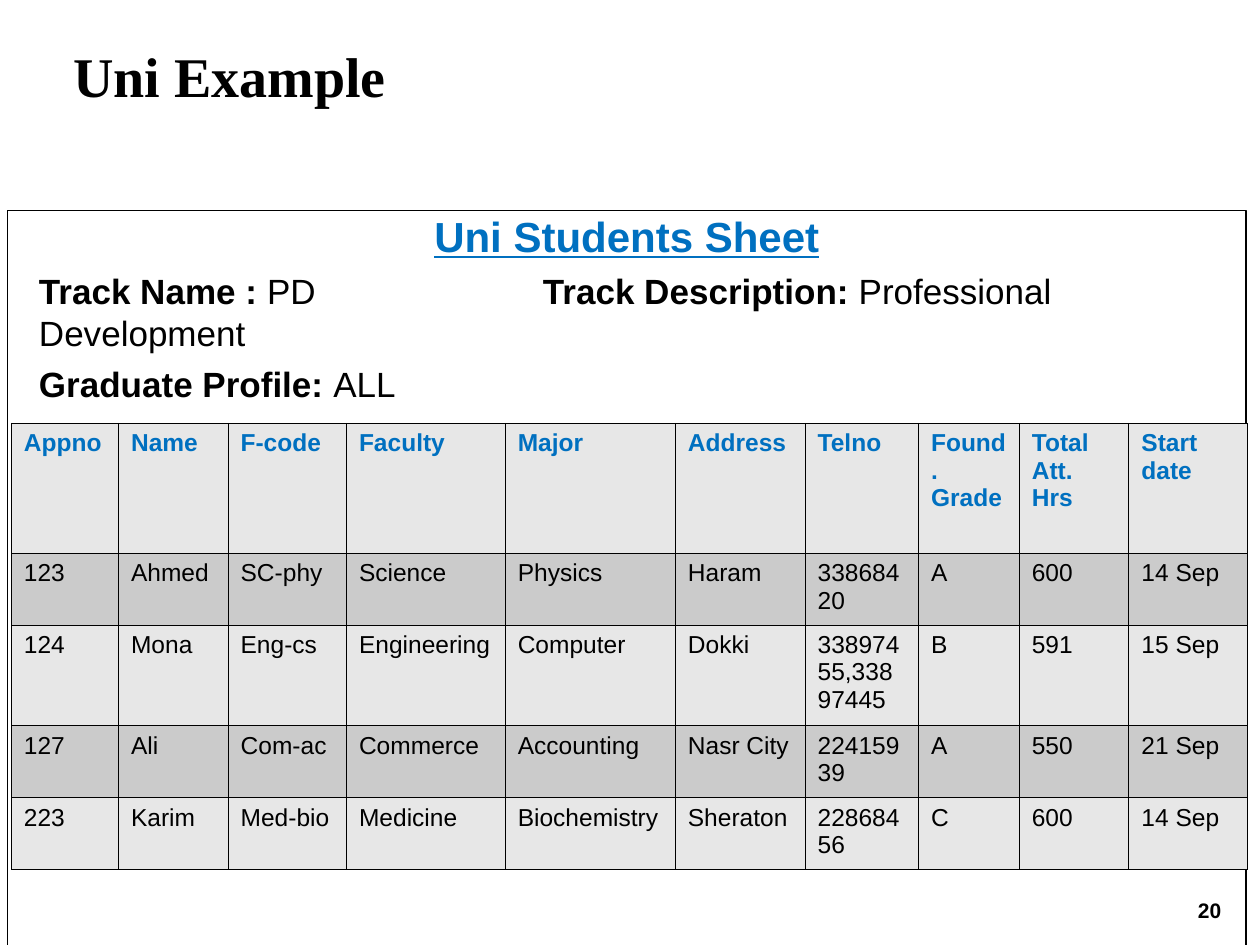
import dataclasses

import lxml.etree
import pptx
import pptx.dml.color
import pptx.enum.shapes
import pptx.enum.text
import pptx.oxml.ns
import pptx.util

Inches = pptx.util.Inches
Pt = pptx.util.Pt
ALIGN = pptx.enum.text.PP_ALIGN


@dataclasses.dataclass(frozen=True)
class Theme:
    sans: str = "Arial"
    serif: str = "Times New Roman"
    ink: str = "000000"
    accent: str = "0070C0"
    light: str = "E7E7E7"
    dark: str = "CBCBCB"
    title: float = 32
    heading: float = 24
    details: float = 20
    cell: float = 14
    number: float = 12
    frame_line: float = 0.74
    cell_line: float = 0.45


THEME = Theme()
SCHOOL = "Uni"
COLUMN_WIDTHS = [0.85, 0.87, 0.94, 1.26, 1.35, 1.03, 0.9, 0.8, 0.87, 0.94]
ROW_HEIGHTS = [1.03, 0.57, 0.8, 0.57, 0.57]
STUDENTS = [
    ["Appno", "Name", "F-code", "Faculty", "Major", "Address", "Telno",
     "Found.\nGrade", "Total\nAtt. Hrs", "Start date"],
    ["123", "Ahmed", "SC-phy", "Science", "Physics", "Haram", "33868420",
     "A", "600", "14 Sep"],
    ["124", "Mona", "Eng-cs", "Engineering", "Computer", "Dokki",
     "33897455,33897445", "B", "591", "15 Sep"],
    ["127", "Ali", "Com-ac", "Commerce", "Accounting", "Nasr City",
     "22415939", "A", "550", "21 Sep"],
    ["223", "Karim", "Med-bio", "Medicine", "Biochemistry", "Sheraton",
     "22868456", "C", "600", "14 Sep"],
]


def rgb(value):
    return pptx.dml.color.RGBColor.from_string(value)


def apply(target, values):
    for name, value in values.items():
        setattr(target, name, value)


def style_font(font, size, color=THEME.ink, **values):
    apply(font, {"name": THEME.sans, "size": Pt(size), **values})
    font.color.rgb = rgb(color)


def set_frame(text_frame, left=0, top=0, right=0, bottom=0):
    apply(text_frame, {
        "word_wrap": True,
        "auto_size": pptx.enum.text.MSO_AUTO_SIZE.NONE,
        "vertical_anchor": pptx.enum.text.MSO_ANCHOR.TOP,
        "margin_left": Inches(left),
        "margin_top": Inches(top),
        "margin_right": Inches(right),
        "margin_bottom": Inches(bottom),
    })


def add_run(paragraph, text, size, **values):
    run = paragraph.add_run()
    run.text = text
    style_font(run.font, size, **values)


def add_tab_stop(paragraph, position):
    properties = paragraph._p.get_or_add_pPr()
    stops = lxml.etree.SubElement(properties, pptx.oxml.ns.qn("a:tabLst"))
    lxml.etree.SubElement(stops, pptx.oxml.ns.qn("a:tab"),
                          pos=str(Inches(position)), algn="l")


def add_title(slide, text):
    title = slide.shapes.title
    apply(title, {"left": Inches(0.58), "top": Inches(0.33),
                  "width": Inches(8.29), "height": Inches(1.03)})
    set_frame(title.text_frame)
    heading = title.text_frame.paragraphs[0]
    heading.alignment = ALIGN.LEFT
    add_run(heading, text, THEME.title, name=THEME.serif, bold=True)


def add_page_number(slide, number):
    box = slide.shapes.add_textbox(Inches(9.35), Inches(7.1),
                                   Inches(0.5), Inches(0.28))
    set_frame(box.text_frame, 0.1, 0.05, 0.1, 0.05)
    label = box.text_frame.paragraphs[0]
    apply(label, {"alignment": ALIGN.CENTER, "line_spacing": 0.9,
                  "space_before": Pt(7.5)})
    add_run(label, number, THEME.number, bold=True)


def add_sheet(slide):
    sheet = slide.shapes.add_shape(
        pptx.enum.shapes.MSO_SHAPE.RECTANGLE,
        Inches(0.06), Inches(1.67), Inches(9.83), Inches(6))
    sheet.shadow.inherit = False
    sheet.fill.background()
    sheet.line.color.rgb = rgb(THEME.ink)
    sheet.line.width = Pt(THEME.frame_line)
    set_frame(sheet.text_frame, left=0.25, right=0.25)

    heading = sheet.text_frame.paragraphs[0]
    apply(heading, {"alignment": ALIGN.CENTER, "space_before": Pt(6)})
    add_run(heading, f"{SCHOOL} Students Sheet", THEME.heading,
            color=THEME.accent, bold=True, underline=True)

    details = [
        [("Track Name : ", True), ("PD\t", False),
         ("Track Description:", True), (" Professional Development", False)],
        [("Graduate Profile: ", True), ("ALL", False)],
    ]
    for pieces in details:
        detail = sheet.text_frame.add_paragraph()
        apply(detail, {"alignment": ALIGN.LEFT, "space_before": Pt(5)})
        add_tab_stop(detail, 4)
        for text, bold in pieces:
            add_run(detail, text, THEME.details, bold=bold)


def add_borders(cell):
    properties = cell._tc.get_or_add_tcPr()
    for side in ("lnL", "lnR", "lnT", "lnB"):
        border = lxml.etree.SubElement(
            properties, pptx.oxml.ns.qn("a:" + side),
            w=str(Pt(THEME.cell_line)))
        fill = lxml.etree.SubElement(border, pptx.oxml.ns.qn("a:solidFill"))
        lxml.etree.SubElement(fill, pptx.oxml.ns.qn("a:srgbClr"),
                              val=THEME.ink)


def fill_cell(cell, text, header, background):
    add_borders(cell)
    cell.fill.solid()
    cell.fill.fore_color.rgb = rgb(background)
    cell.text = text
    for paragraph in cell.text_frame.paragraphs:
        for run in paragraph.runs:
            style_font(run.font, THEME.cell, bold=header,
                       color=THEME.accent if header else THEME.ink)


def add_students(slide):
    students = slide.shapes.add_table(
        len(STUDENTS), len(COLUMN_WIDTHS), Inches(0.09), Inches(3.36),
        Inches(sum(COLUMN_WIDTHS)), Inches(sum(ROW_HEIGHTS))).table
    for column, width in zip(students.columns, COLUMN_WIDTHS):
        column.width = Inches(width)
    for row_index, (row, height) in enumerate(zip(students.rows, ROW_HEIGHTS)):
        row.height = Inches(height)
        background = THEME.dark if row_index % 2 else THEME.light
        for cell, text in zip(row.cells, STUDENTS[row_index]):
            fill_cell(cell, text, row_index == 0, background)


def main():
    presentation = pptx.Presentation()
    apply(presentation, {"slide_width": Inches(10),
                         "slide_height": Inches(7.5)})
    slide = presentation.slides.add_slide(presentation.slide_layouts[5])
    add_page_number(slide, "20")
    add_title(slide, f"{SCHOOL} Example")
    add_sheet(slide)
    add_students(slide)
    presentation.save("out.pptx")


main()
